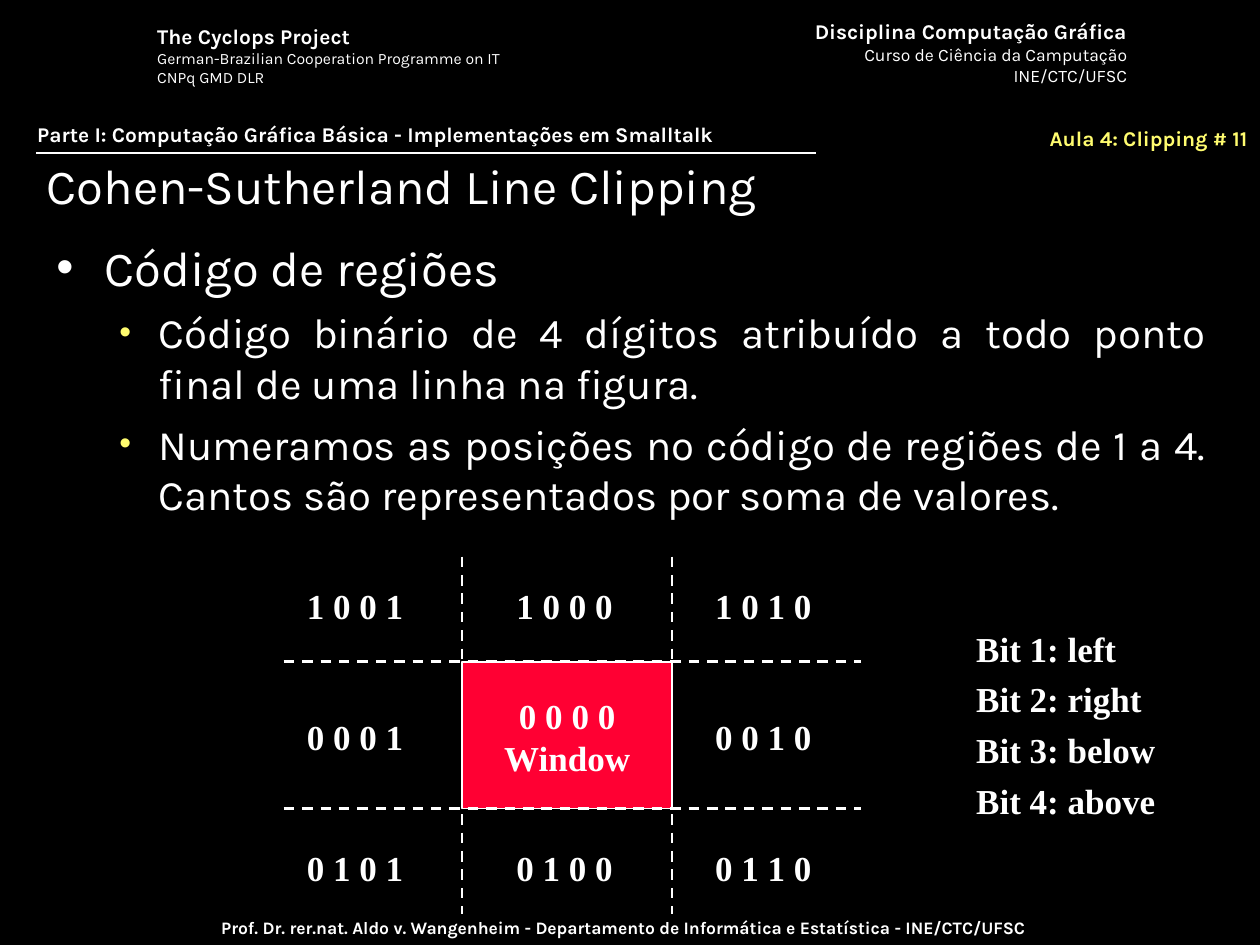
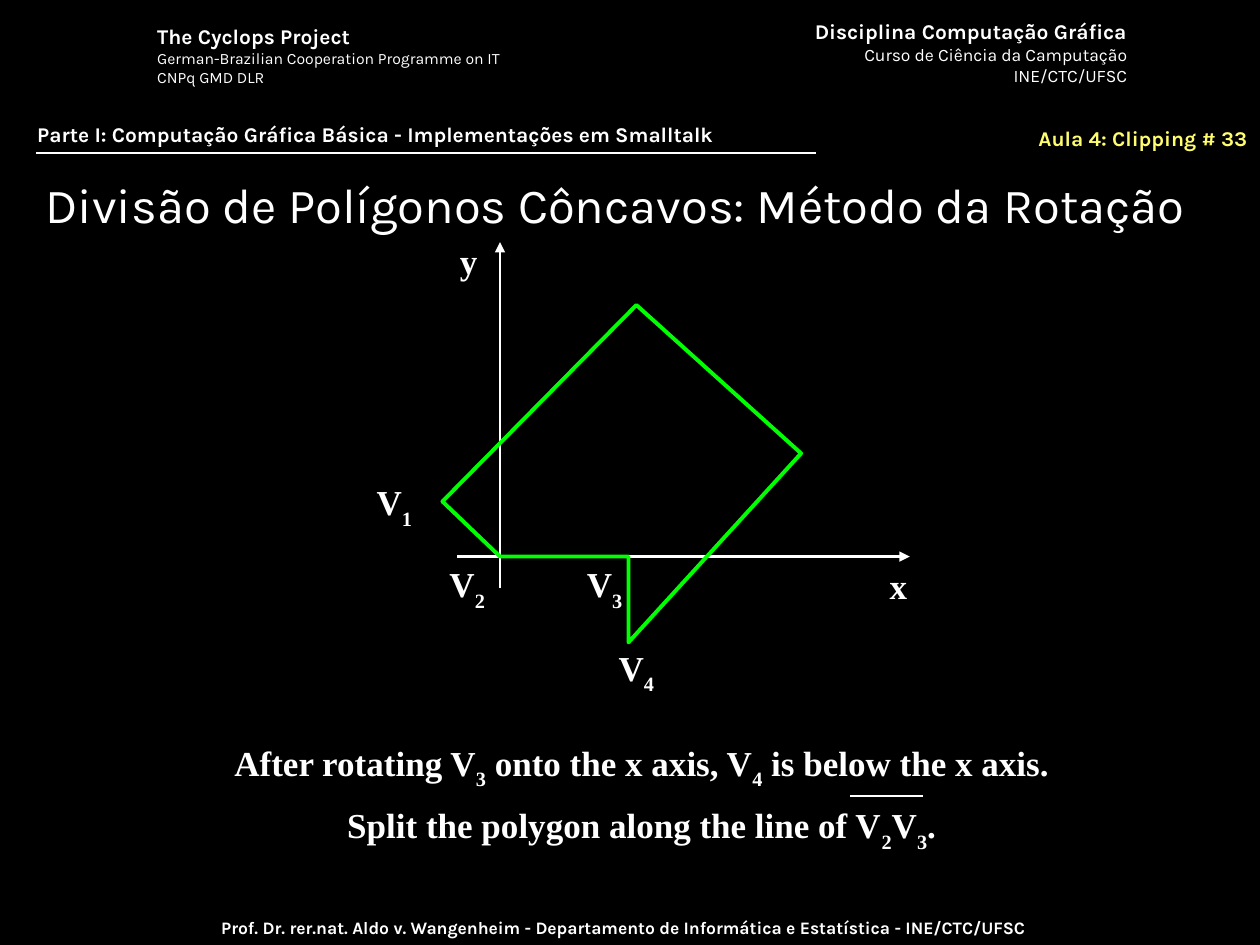
from dataclasses import dataclass
from itertools import product

from lxml import etree
from pptx import Presentation
from pptx.dml.color import RGBColor
from pptx.enum.dml import MSO_LINE
from pptx.enum.shapes import MSO_CONNECTOR, MSO_SHAPE
from pptx.enum.text import MSO_ANCHOR, MSO_AUTO_SIZE, PP_ALIGN
from pptx.oxml.ns import qn
from pptx.slide import Slide
from pptx.util import Cm, Pt

LEFT, CENTER, RIGHT, JUSTIFY = PP_ALIGN.LEFT, PP_ALIGN.CENTER, PP_ALIGN.RIGHT, PP_ALIGN.JUSTIFY
MIDDLE = MSO_ANCHOR.MIDDLE
NO_FIT, GROW = MSO_AUTO_SIZE.NONE, MSO_AUTO_SIZE.SHAPE_TO_FIT_TEXT
STRAIGHT = MSO_CONNECTOR.STRAIGHT
RECTANGLE = MSO_SHAPE.RECTANGLE
DASH = MSO_LINE.DASH


@dataclass(frozen=True)
class Style:
    font: str
    size: float
    color: RGBColor
    bold: bool = False


@dataclass(frozen=True)
class Theme:
    black: RGBColor = RGBColor(0x00, 0x00, 0x00)
    white: RGBColor = RGBColor(0xFF, 0xFF, 0xFF)
    yellow: RGBColor = RGBColor(0xFF, 0xFC, 0x6F)
    red: RGBColor = RGBColor(0xFF, 0x00, 0x33)
    green: RGBColor = RGBColor(0x00, 0xFF, 0x00)
    text_font: str = "Karla"
    diagram_font: str = "Times New Roman"

    def text(self, size: float, bold: bool = False) -> Style:
        return Style(self.text_font, size, self.white, bold)

    @property
    def title(self) -> Style:
        return self.text(28)

    @property
    def item(self) -> Style:
        return self.text(24)

    @property
    def heading(self) -> Style:
        return self.text(12, True)

    @property
    def footer(self) -> Style:
        return self.text(10, True)

    @property
    def course(self) -> Style:
        return self.text(10)

    @property
    def project(self) -> Style:
        return self.text(9)

    @property
    def lesson(self) -> Style:
        return Style(self.text_font, 12, self.yellow, True)

    @property
    def diagram(self) -> Style:
        return Style(self.diagram_font, 20, self.white, True)


THEME = Theme()


@dataclass(frozen=True)
class Area:
    left: float
    top: float
    width: float
    height: float

    def lengths(self) -> tuple[Cm, Cm, Cm, Cm]:
        return Cm(self.left), Cm(self.top), Cm(self.width), Cm(self.height)


@dataclass(frozen=True)
class Label:
    area: Area
    lines: tuple[str, ...]
    style: Style = THEME.diagram
    detail: Style | None = None
    align: PP_ALIGN = CENTER
    wrap: bool = False
    gap: float = 0


@dataclass(frozen=True)
class Stroke:
    start: tuple[float, float]
    end: tuple[float, float]
    width: float = 1.5
    dashed: bool = False
    arrow: bool = False


@dataclass(frozen=True)
class Bullet:
    margin: float
    hanging: float
    color: RGBColor
    percent: int
    gap: float
    style: Style


BULLETS = (
    Bullet(0.97, 0.97, THEME.white, 100, 7, THEME.title),
    Bullet(2.06, 0.79, THEME.yellow, 80, 6, THEME.item),
)

FRAME_LABELS = (
    Label(Area(16, 0.25, 6.97, 1.63),
          ("Disciplina Computação Gráfica", "Curso de Ciência da Camputação", "INE/CTC/UFSC"),
          THEME.heading, THEME.course, RIGHT),
    Label(Area(2.92, 0.36, 7.75, 1.52),
          ("The Cyclops Project", "German-Brazilian Cooperation Programme on IT", "CNPq GMD DLR"),
          THEME.heading, THEME.project, LEFT),
    Label(Area(1.35, 18.37, 22.42, 0.69),
          ("Prof. Dr. rer.nat. Aldo v. Wangenheim - Departamento de Informática e Estatística"
           " - INE/CTC/UFSC",),
          THEME.footer, wrap=True),
    Label(Area(0.5, 2.32, 24.13, 0.76),
          ("Parte I: Computação Gráfica Básica - Implementações em Smalltalk",),
          THEME.heading, align=LEFT, wrap=True),
)
FRAME_RULE = Stroke((0.73, 3.08), (16.45, 3.08), 1)


def apply_style(span, style: Style) -> None:
    span.font.name = style.font
    span.font.size = Pt(style.size)
    span.font.bold = style.bold
    span.font.color.rgb = style.color


def draw_label(page: Slide, label: Label):
    box = page.shapes.add_textbox(*label.area.lengths())
    frame = box.text_frame
    frame.word_wrap = label.wrap
    frame.auto_size = GROW
    for index, line in enumerate(label.lines):
        para = frame.add_paragraph() if index else frame.paragraphs[0]
        para.alignment = label.align
        para.space_before = Pt(label.gap if index else 0)
        style = label.detail if index and label.detail else label.style
        for position, piece in enumerate(line.split("|")):
            if piece:
                span = para.add_run()
                span.text = piece
                apply_style(span, style)
                if position % 2:
                    span.font._element.set("baseline", "-30000")
    return box


def draw_stroke(page: Slide, stroke: Stroke):
    points = (Cm(value) for value in stroke.start + stroke.end)
    connector = page.shapes.add_connector(STRAIGHT, *points)
    connector.line.color.rgb = THEME.white
    connector.line.width = Pt(stroke.width)
    if stroke.dashed:
        connector.line.dash_style = DASH
    properties = connector.element.spPr
    if stroke.arrow:
        etree.SubElement(properties.find(qn("a:ln")), qn("a:tailEnd"), type="triangle")
    etree.SubElement(properties, qn("a:effectLst"))
    return connector


def build_master(deck, page: Slide) -> None:
    master = deck.slide_master
    master.background.fill.solid()
    master.background.fill.fore_color.rgb = THEME.black
    shapes = [draw_label(page, label) for label in FRAME_LABELS]
    shapes.append(draw_stroke(page, FRAME_RULE))
    for number, shape in enumerate(shapes, start=101):
        shape.element.xpath("./*/p:cNvPr")[0].set("id", str(number))
        master.shapes.element.append(shape.element)


def place(holder, area: Area) -> None:
    holder.left, holder.top, holder.width, holder.height = area.lengths()
    holder.text_frame.auto_size = NO_FIT


def set_heading(page: Slide, title: str, area: Area, number: int) -> None:
    holder = page.shapes.title
    place(holder, area)
    holder.text_frame.text = title
    holder.text_frame.vertical_anchor = MIDDLE
    para = holder.text_frame.paragraphs[0]
    para.alignment = LEFT
    apply_style(para.runs[0], THEME.title)
    draw_label(page, Label(Area(19.28, 2.4, 6.12, 0.84), (f"Aula 4: Clipping # {number}",),
                           THEME.lesson, align=RIGHT, wrap=True))


def fill_body(page: Slide, area: Area, items: tuple[tuple[int, str], ...]) -> None:
    holder = page.placeholders[1]
    place(holder, area)
    frame = holder.text_frame
    for index, (level, text) in enumerate(items):
        bullet = BULLETS[level]
        para = frame.add_paragraph() if index else frame.paragraphs[0]
        para.text = text
        para.level = level
        para.alignment = JUSTIFY
        properties = para._p.get_or_add_pPr()
        properties.set("marL", str(Cm(bullet.margin)))
        properties.set("indent", str(-Cm(bullet.hanging)))
        color = etree.SubElement(properties, qn("a:buClr"))
        etree.SubElement(color, qn("a:srgbClr"), val=str(bullet.color))
        etree.SubElement(properties, qn("a:buSzPct"), val=str(bullet.percent * 1000))
        etree.SubElement(properties, qn("a:buChar"), char="•")
        para.space_before = Pt(bullet.gap if index else 0)
        apply_style(para.runs[0], bullet.style)


def draw_region_grid(page: Slide) -> None:
    left, top, right, bottom = 9.31, 13.34, 13.55, 16.3
    window = page.shapes.add_shape(
        RECTANGLE, Cm(left), Cm(top), Cm(right - left), Cm(bottom - top))
    window.shadow.inherit = False
    window.fill.solid()
    window.fill.fore_color.rgb = THEME.red
    window.line.color.rgb = THEME.white
    window.line.width = Pt(1)
    for y in (top, bottom):
        draw_stroke(page, Stroke((5.72, y), (17.35, y), dashed=True))
    for x in (left, right):
        draw_stroke(page, Stroke((x, 11.22), (x, 18.42), dashed=True))

    columns = (("01", 5.76), ("00", 9.98), ("10", 13.99))
    rows = (("10", 11.66), ("00", 14.3), ("01", 16.94))
    for (row_bits, y), (column_bits, x) in product(rows, columns):
        code = " ".join(row_bits + column_bits)
        if code == "0 0 0 0":
            draw_label(page, Label(Area(9.91, 13.87, 3.05, 1.96), (code, "Window")))
        else:
            draw_label(page, Label(Area(x, y, 2.8, 1.12), (code,)))


def build_region_codes(page: Slide) -> None:
    set_heading(page, "Cohen-Sutherland Line Clipping", Area(0.69, 3.38, 21.59, 0.69), 11)
    fill_body(page, Area(0.88, 4.66, 23.68, 13.34), (
        (0, "Código de regiões"),
        (1, "Código binário de 4 dígitos atribuído a todo ponto final de uma linha na figura."),
        (1, "Numeramos as posições no código de regiões de 1 a 4. "
            "Cantos são representados por soma de valores."),
    ))
    draw_region_grid(page)
    sides = ("left", "right", "below", "above")
    bits = tuple(f"Bit {number}: {side}" for number, side in enumerate(sides, start=1))
    draw_label(page, Label(Area(19.43, 12.52, 4.6, 4.17), bits, align=LEFT, gap=5))


def draw_polygon(page: Slide) -> None:
    corners = ((10.08, 11.22), (12.67, 11.22), (12.67, 12.95),
               (16.15, 9.14), (12.83, 6.15), (8.92, 10.11))
    start, *others = [(Cm(x), Cm(y)) for x, y in corners]
    builder = page.shapes.build_freeform(*start)
    builder.add_line_segments(others, close=True)
    polygon = builder.convert_to_shape()
    polygon.shadow.inherit = False
    polygon.fill.background()
    polygon.line.color.rgb = THEME.green
    polygon.line.width = Pt(2.25)


def build_rotation_method(page: Slide) -> None:
    set_heading(page, "Divisão de Polígonos Côncavos: Método da Rotação",
                Area(0.66, 3.28, 23.88, 1.65), 33)
    draw_stroke(page, Stroke((10.08, 11.86), (10.08, 4.88), arrow=True))
    draw_stroke(page, Stroke((9.22, 11.22), (18.34, 11.22), arrow=True))
    for name, x, y in (("x", 17.68, 11.25), ("y", 9.02, 4.7)):
        draw_label(page, Label(Area(x, y, 0.86, 1.12), (name,)))
    draw_polygon(page)
    vertex_places = ((7.34, 9.57), (8.81, 11.22), (11.58, 11.22), (12.22, 12.9))
    for number, (x, y) in enumerate(vertex_places, start=1):
        draw_label(page, Label(Area(x, y, 1.22, 1.27), (f"V|{number}|",)))
    draw_label(page, Label(Area(4.2, 14.82, 17.47, 2.51), (
        "After rotating V|3| onto the x axis, V|4| is below the x axis.",
        "Split the polygon along the line of V|2|V|3|.",
    ), gap=7.5))
    draw_stroke(page, Stroke((17.13, 16.05), (18.61, 16.05), 1))


def main() -> None:
    deck = Presentation()
    deck.slide_width, deck.slide_height = Cm(25.4), Cm(19.05)
    region_page = deck.slides.add_slide(deck.slide_layouts[1])
    rotation_page = deck.slides.add_slide(deck.slide_layouts[5])
    build_master(deck, region_page)
    build_region_codes(region_page)
    build_rotation_method(rotation_page)
    deck.save("out.pptx")


if __name__ == "__main__":
    main()
